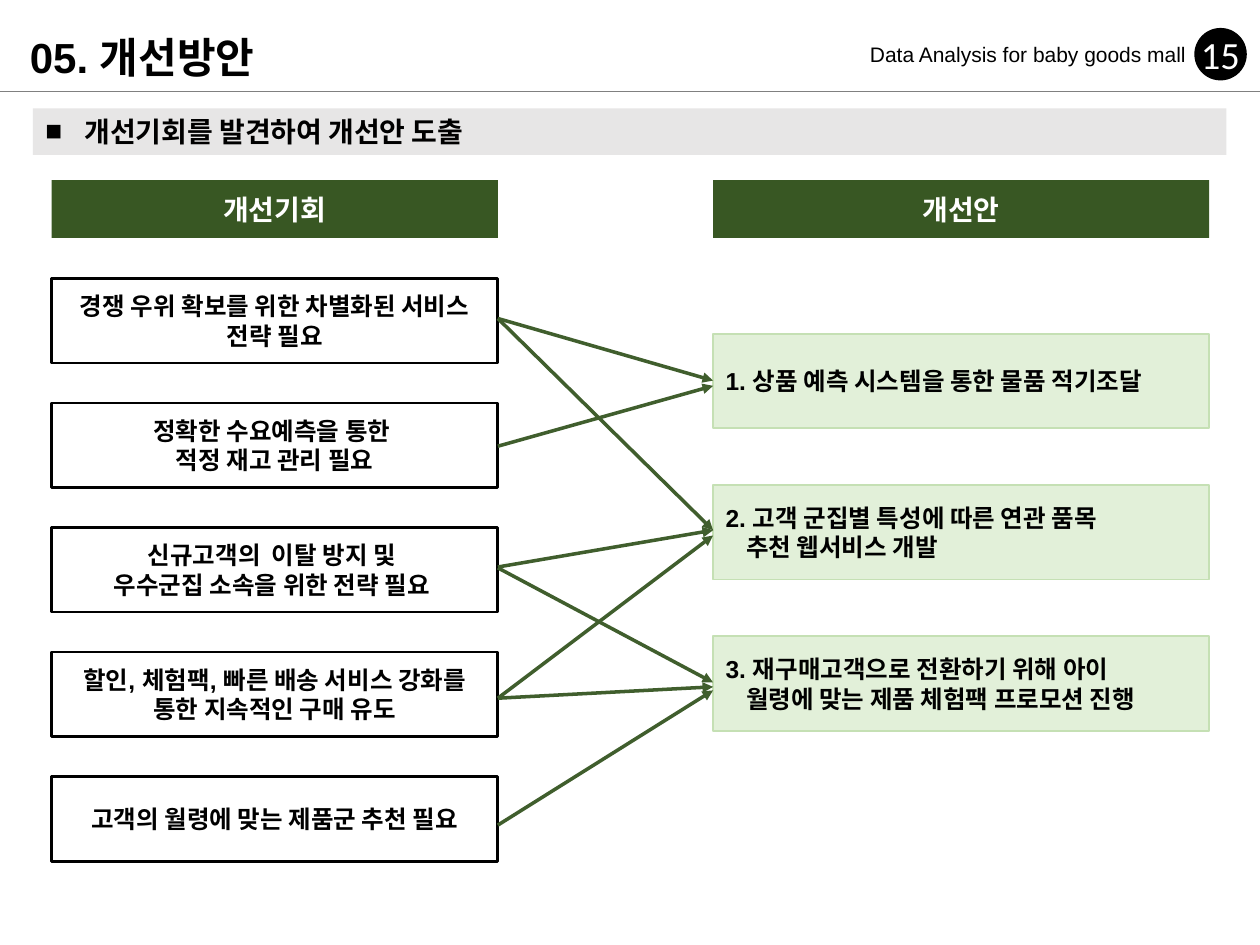
from lxml.etree import SubElement
from pptx import Presentation
from pptx.dml.color import RGBColor as RGB
from pptx.enum.shapes import MSO_CONNECTOR as Link, MSO_SHAPE as Kind
from pptx.enum.text import MSO_ANCHOR as Anchor, MSO_AUTO_SIZE as Fit, PP_ALIGN as Align
from pptx.oxml.ns import qn
from pptx.util import Pt

BLACK = RGB(0x00, 0x00, 0x00)
WHITE = RGB(0xFF, 0xFF, 0xFF)
GREY = RGB(0x80, 0x80, 0x80)
PALE = RGB(0xE7, 0xE6, 0xE6)
GREEN = RGB(0x38, 0x57, 0x23)
MINT = RGB(0xE2, 0xF0, 0xD9)
EDGE = RGB(0xC5, 0xE0, 0xB4)
ARROW = RGB(0x40, 0x5E, 0x2D)

LEFT, LEFT_W = 29.5, 255
RIGHT, RIGHT_W = 407.5, 283.5

NEEDS = [
    ["경쟁 우위 확보를 위한 차별화된 서비스 전략 필요"],
    ["정확한 수요예측을 통한 ", "적정 재고 관리 필요"],
    ["신규고객의  이탈 방지 및 ", "우수군집 소속을 위한 전략 필요 "],
    ["할인, 체험팩, 빠른 배송 서비스 강화를 통한 지속적인 구매 유도"],
    ["고객의 월령에 맞는 제품군 추천 필요"],
]
PLANS = [
    ["1. 상품 예측 시스템을 통한 물품 적기조달"],
    ["2. 고객 군집별 특성에 따른 연관 품목", "추천 웹서비스 개발"],
    ["3. 재구매고객으로 전환하기 위해 아이", "월령에 맞는 제품 체험팩 프로모션 진행"],
]
LINKS = [
    (182, 217.5), (255, 220.5), (182, 303), (324, 303),
    (399, 306), (324.5, 390), (399, 392.5), (471.5, 394.5),
]

BODY = {"name": "Arial", "size": Pt(14), "bold": True}
HEAD = BODY | {"size": Pt(16)}
TITLE = BODY | {"size": Pt(24)}
NOTE = {"name": "Arial", "size": Pt(12)}
PAGE = {"name": "Calibri", "size": Pt(22)}


def style(item, vals):
    for key, val in vals.items():
        setattr(item, key, val)


def write(shape, lines, font, color=BLACK, align=Align.LEFT, hang=0, **frame):
    text = shape.text_frame
    style(text, {"word_wrap": True, "vertical_anchor": Anchor.MIDDLE} | frame)
    for i, line in enumerate(lines):
        para = text.paragraphs[0] if i == 0 else text.add_paragraph()
        para.alignment = align
        if i and hang:
            para._p.get_or_add_pPr().set("marL", str(int(Pt(hang))))
        run = para.add_run()
        run.text = line
        style(run.font, font)
        run.font.color.rgb = color


def block(slide, area, fill, edge=None, width=1, kind=Kind.RECTANGLE):
    shape = slide.shapes.add_shape(kind, *map(Pt, area))
    shape.shadow.inherit = False
    shape.fill.solid()
    shape.fill.fore_color.rgb = fill
    if edge is None:
        shape.line.fill.background()
    else:
        shape.line.color.rgb = edge
        shape.line.width = Pt(width)
    return shape


def label(slide, area, line, font, **rest):
    write(slide.shapes.add_textbox(*map(Pt, area)), [line], font, **rest)


def stroke(slide, ends, color, width, head=False):
    line = slide.shapes.add_connector(Link.STRAIGHT, *map(Pt, ends))
    line.line.color.rgb = color
    line.line.width = Pt(width)
    if head:
        SubElement(line.line._get_or_add_ln(), qn("a:tailEnd"), type="triangle")
    SubElement(line._element.spPr, qn("a:effectLst"))


def bullet(para, sign, gap):
    props = para._p.get_or_add_pPr()
    props.set("marL", str(int(Pt(gap))))
    props.set("indent", str(int(Pt(-gap))))
    SubElement(props, qn("a:buFont"), typeface="Arial")
    SubElement(props, qn("a:buChar"), char=sign)
    para.space_after = Pt(5)


def banner(slide):
    fit = {"word_wrap": False, "auto_size": Fit.SHAPE_TO_FIT_TEXT,
           "vertical_anchor": Anchor.TOP}
    label(slide, (10, 14.4, 154, 36), "05. 개선방안", TITLE, **fit)
    label(slide, (480, 20, 205, 21.6), "Data Analysis for baby goods mall",
          NOTE, align=Align.RIGHT, **fit)
    stroke(slide, (0, 52, 720, 52), GREY, 0.5)
    bar = block(slide, (18.8, 62, 682, 26.6), PALE)
    bullet(bar.text_frame.paragraphs[0], "■", 22.5)
    write(bar, ["개선기회를 발견하여 개선안 도출"], HEAD, vertical_anchor=Anchor.TOP)
    block(slide, (682.5, 16, 30, 30), BLACK, kind=Kind.OVAL)
    label(slide, (553.5, 16.5, 162, 29), "15", PAGE, color=WHITE, align=Align.RIGHT)


def column(slide, left, width, name):
    shape = block(slide, (left, 103, width, 33), GREEN)
    write(shape, [name], HEAD, WHITE, Align.CENTER)


def main():
    deck = Presentation()
    style(deck, {"slide_width": Pt(720), "slide_height": Pt(540)})
    slide = deck.slides.add_slide(deck.slide_layouts[6])
    banner(slide)
    column(slide, LEFT, LEFT_W, "개선기회")
    column(slide, RIGHT, RIGHT_W, "개선안")
    for i, lines in enumerate(NEEDS):
        shape = block(slide, (LEFT, 159 + 71.2 * i, LEFT_W, 48.4), WHITE, BLACK, 1.5)
        write(shape, lines, BODY, align=Align.CENTER)
    for i, lines in enumerate(PLANS):
        shape = block(slide, (RIGHT, 190.8 + 86.4 * i, RIGHT_W, 54), MINT, EDGE)
        write(shape, lines, BODY, hang=11.7)
    for start, end in LINKS:
        stroke(slide, (LEFT + LEFT_W, start, RIGHT, end), ARROW, 2, head=True)
    deck.save("out.pptx")


if __name__ == "__main__":
    main()
